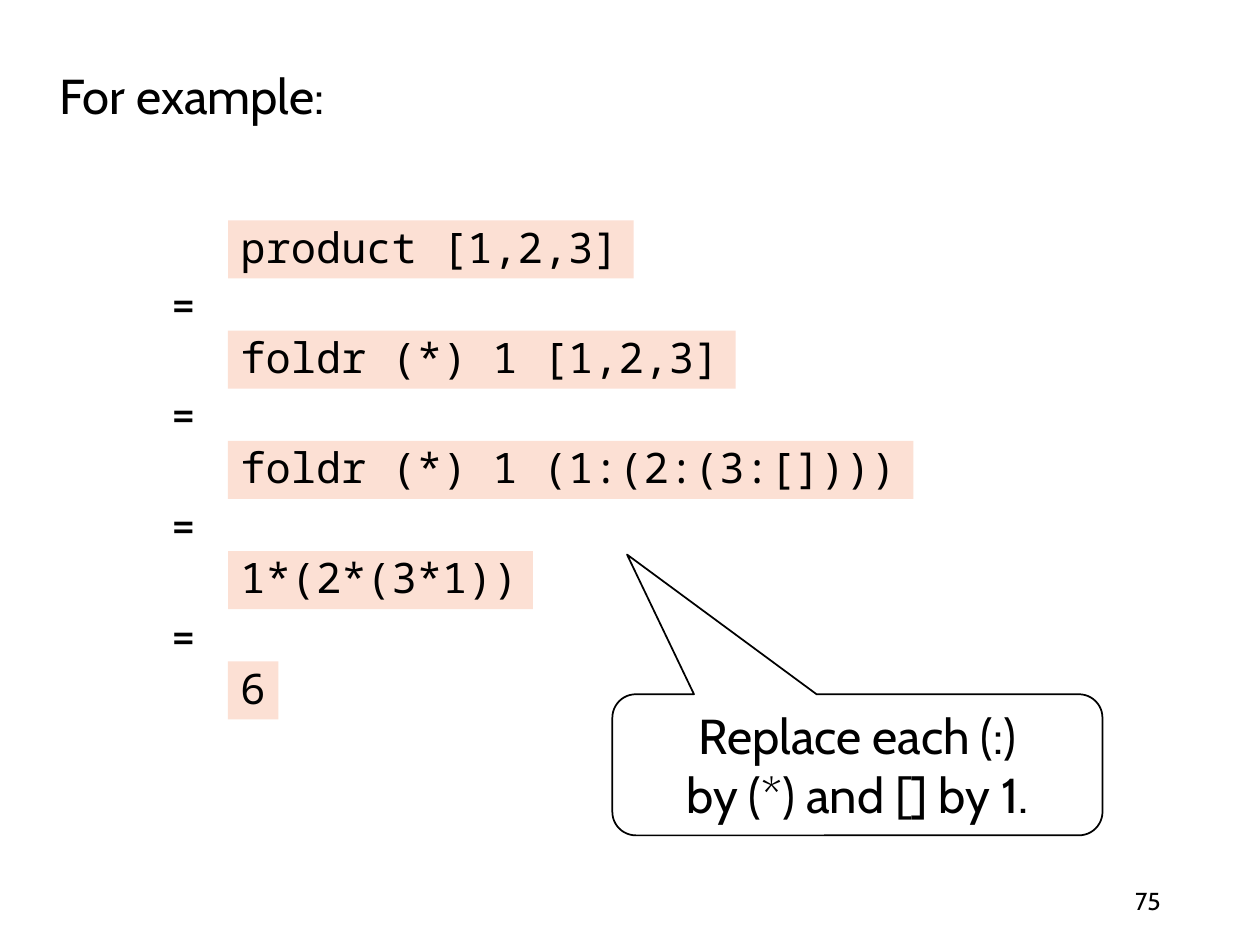
from dataclasses import dataclass

from pptx import Presentation
from pptx.dml.color import RGBColor
from pptx.enum.shapes import MSO_SHAPE
from pptx.enum.text import MSO_ANCHOR, MSO_AUTO_SIZE, PP_ALIGN
from pptx.util import Inches, Pt

LEFT, CENTER, RIGHT = PP_ALIGN.LEFT, PP_ALIGN.CENTER, PP_ALIGN.RIGHT
MIDDLE = MSO_ANCHOR.MIDDLE
FIT_SHAPE = MSO_AUTO_SIZE.SHAPE_TO_FIT_TEXT
RECTANGLE = MSO_SHAPE.RECTANGLE
CALLOUT = MSO_SHAPE.ROUNDED_RECTANGULAR_CALLOUT
TITLE_ONLY = 5


@dataclass(frozen=True)
class Theme:
    ink: RGBColor = RGBColor(0x00, 0x00, 0x00)
    highlight: RGBColor = RGBColor(0xFC, 0xE0, 0xD4)
    text_font: str = "Cabin"
    code_font: str = "Noto Sans Mono"
    text_size: int = 28
    code_size: int = 24
    number_size: int = 14


THEME = Theme()

# Each step of the evaluation: expression and width of its box
STEPS = [
    ("product [1,2,3]", 3.22),
    ("foldr (*) 1 [1,2,3]", 4.03),
    ("foldr (*) 1 (1:(2:(3:[])))", 5.44),
    ("1*(2*(3*1))", 2.42),
    ("6", 0.4),
]
STEP_LEFT, STEP_TOP, STEP_PITCH, STEP_HEIGHT = 1.81, 1.75, 0.875, 0.46
EQUALS_LEFT, EQUALS_TOP, EQUALS_PITCH = 1.22, 2.1, 0.88


def write(shape, text, *, font=THEME.text_font, size=THEME.text_size,
          align=LEFT, spacing=1.0, wrap=True):
    """Fill a shape with text, one paragraph a line."""
    frame = shape.text_frame
    frame.word_wrap = wrap
    frame.auto_size = FIT_SHAPE
    frame.vertical_anchor = MIDDLE
    frame.text = text
    for para in frame.paragraphs:
        para.alignment = align
        para.line_spacing = spacing
        for span in para.runs:
            span.font.name = font
            span.font.size = Pt(size)
            span.font.color.rgb = THEME.ink


def add_title(page, text):
    title = page.shapes.title
    title.left, title.top = Inches(0.37), Inches(0.47)
    title.width, title.height = Inches(8.86), Inches(0.57)
    write(title, text)


def add_label(shapes, text, left, top, width, height, **text_format):
    box = shapes.add_textbox(Inches(left), Inches(top), Inches(width), Inches(height))
    write(box, text, **text_format)


def add_code(shapes, text, top, width):
    box = shapes.add_shape(RECTANGLE, Inches(STEP_LEFT), Inches(top),
                           Inches(width), Inches(STEP_HEIGHT))
    box.shadow.inherit = False
    box.fill.solid()
    box.fill.fore_color.rgb = THEME.highlight
    box.line.fill.background()
    write(box, text, font=THEME.code_font, size=THEME.code_size,
          spacing=0.9, wrap=False)


def add_steps(page):
    """Stack the expressions; each later one is grouped with its equals sign."""
    for index, (expression, width) in enumerate(STEPS):
        shapes = page.shapes.add_group_shape().shapes if index else page.shapes
        add_code(shapes, expression, STEP_TOP + index * STEP_PITCH, width)
        if index:
            add_label(shapes, "=", EQUALS_LEFT,
                      EQUALS_TOP + (index - 1) * EQUALS_PITCH, 0.48, 0.57,
                      align=CENTER, wrap=False)


def add_callout(page, text):
    box = page.shapes.add_shape(CALLOUT, Inches(4.86), Inches(5.51),
                                Inches(3.89), Inches(1.12))
    box.shadow.inherit = False
    box.adjustments[0] = -0.47
    box.adjustments[1] = -1.49
    box.fill.background()
    box.line.color.rgb = THEME.ink
    box.line.width = Pt(1)
    write(box, text, align=CENTER)


def main():
    deck = Presentation()
    deck.slide_width, deck.slide_height = Inches(10), Inches(7.5)
    page = deck.slides.add_slide(deck.slide_layouts[TITLE_ONLY])

    # Heading
    add_title(page, "For example:")

    # Evaluation steps
    add_steps(page)

    # Explanation and page number
    add_callout(page, "Replace each (:)\nby (*) and [] by 1.")
    add_label(page.shapes, "75", 7.06, 6.95, 2.25, 0.4,
              size=THEME.number_size, align=RIGHT)

    deck.save("out.pptx")


if __name__ == "__main__":
    main()
